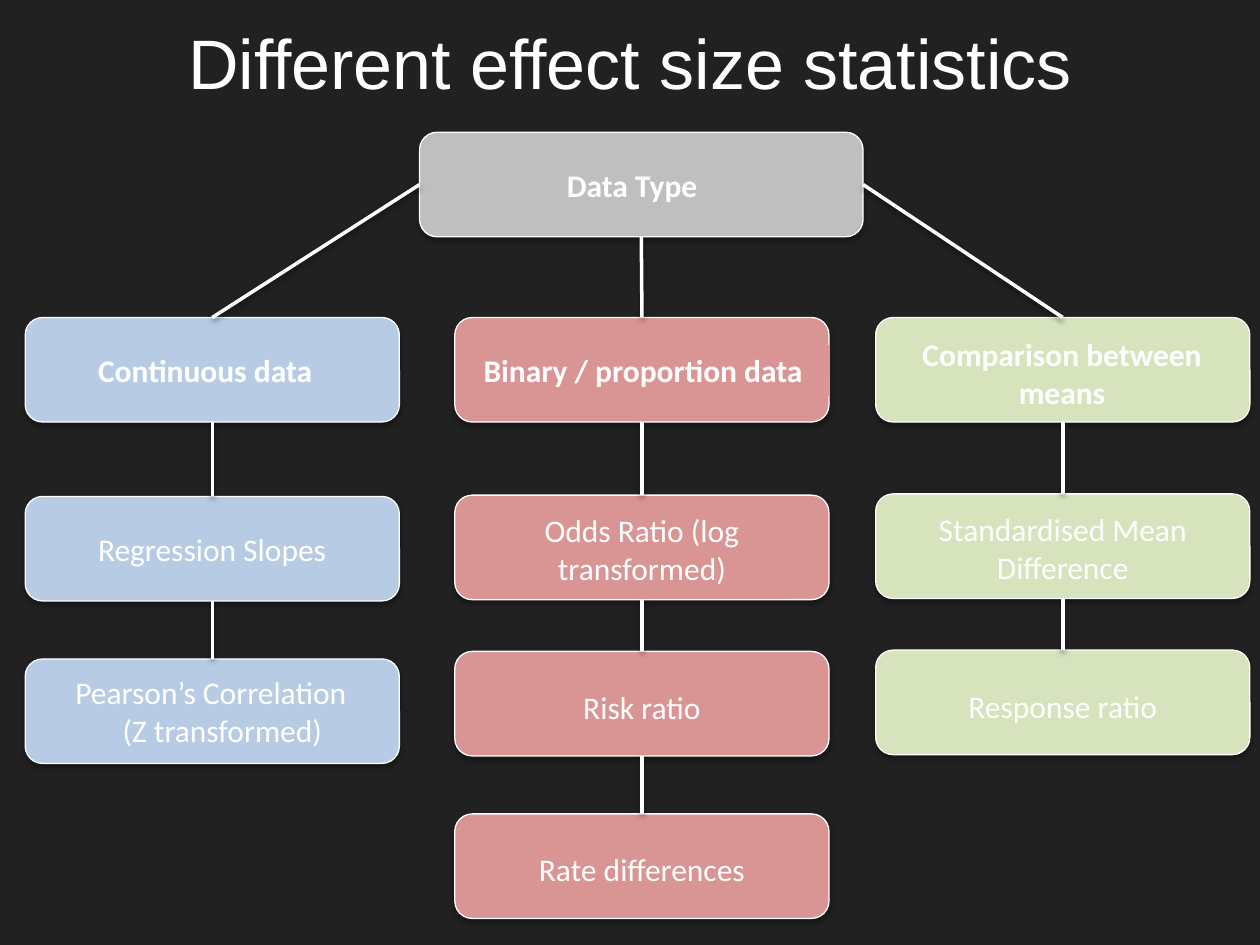
from itertools import pairwise

from lxml import etree
from pptx import Presentation
from pptx import util as u
from pptx.dml.color import RGBColor
from pptx.enum import shapes, text
from pptx.oxml import ns

BACKGROUND = RGBColor(0x21, 0x21, 0x21)
WHITE = RGBColor(0xFF, 0xFF, 0xFF)
GREY = RGBColor(0xBF, 0xBF, 0xBF)
BLUE = RGBColor(0xB7, 0xCC, 0xE4)
RED = RGBColor(0xD9, 0x95, 0x93)
GREEN = RGBColor(0xD6, 0xE3, 0xBC)

LEFT, CENTER = text.PP_ALIGN.LEFT, text.PP_ALIGN.CENTER
TOP_SIDE, LEFT_SIDE, BOTTOM_SIDE, RIGHT_SIDE = range(4)
BOX_WIDTH, BOX_HEIGHT = 2.97, 0.83
ONE_LINE, TWO_LINES = 0.4, 0.71
WIDE = (0.07, 0.24, 2.83, ONE_LINE)
WIDE_TALL = (0.07, 0.08, 2.83, TWO_LINES)

ROOT = ("Data Type", 1.05, (1.07, 0.22, 1.38, ONE_LINE), [LEFT])
COLUMNS = [
    (0.2, BLUE, [
        ("Continuous data", 2.52, (0.48, 0.22, 1.99, ONE_LINE), [LEFT]),
        ("Regression Slopes", 3.94, (0.48, 0.22, 2.24, ONE_LINE), [LEFT]),
        ("Pearson’s Correlation\n(Z transformed)", 5.23,
         (0.3, 0.06, 2.53, TWO_LINES), [LEFT, CENTER]),
    ]),
    (3.61, RED, [
        ("Binary / proportion data", 2.52, (0.13, 0.22, 2.84, ONE_LINE), [LEFT]),
        ("Odds Ratio (log transformed)", 3.93, WIDE_TALL, [CENTER]),
        ("Risk ratio", 5.17, WIDE, [CENTER]),
        ("Rate differences", 6.46, WIDE, [CENTER]),
    ]),
    (6.95, GREEN, [
        ("Comparison between means", 2.52, (0.05, 0.09, 2.86, TWO_LINES), [CENTER]),
        ("Standardised Mean Difference", 3.92, WIDE_TALL, [CENTER]),
        ("Response ratio", 5.16, WIDE, [CENTER]),
    ]),
]


def inches(*lengths):
    return [u.Inches(length) for length in lengths]


def apply_format(target, values):
    for name, value in values.items():
        setattr(target, name, value)


def add_shadow(shape, distance, opacity):
    properties = shape._element.spPr
    effects = etree.SubElement(properties, ns.qn("a:effectLst"))
    shadow = etree.SubElement(
        effects, ns.qn("a:outerShdw"), blurRad=str(u.Pt(3.1)),
        dist=str(u.Pt(distance)), dir="5400000", rotWithShape="0")
    color = etree.SubElement(shadow, ns.qn("a:srgbClr"), val="000000")
    etree.SubElement(color, ns.qn("a:alpha"), val=str(opacity * 1000))


def add_title(slide, wording):
    title = slide.shapes.title
    left, top, width, height = inches(0.5, -0.14, 9, 1.25)
    apply_format(title, {"left": left, "top": top, "width": width, "height": height})
    title.text_frame.text = wording
    title.text_frame.vertical_anchor = text.MSO_ANCHOR.MIDDLE
    paragraph = title.text_frame.paragraphs[0]
    paragraph.alignment = CENTER
    apply_format(paragraph.runs[0].font, {"name": "Arial", "size": u.Pt(40)})
    paragraph.runs[0].font.color.rgb = WHITE


def add_label(group, wording, area, alignments, bold, color=None):
    label = group.shapes.add_textbox(*inches(*area))
    if color is not None:
        label.fill.solid()
        label.fill.fore_color.rgb = color
    frame = label.text_frame
    frame.text = wording
    apply_format(frame, {"word_wrap": True,
                         "auto_size": text.MSO_AUTO_SIZE.SHAPE_TO_FIT_TEXT})
    for paragraph, alignment in zip(frame.paragraphs, alignments):
        paragraph.alignment = alignment
        font = paragraph.runs[0].font
        apply_format(font, {"name": "Calibri", "size": u.Pt(18), "bold": bold})
        font.color.rgb = WHITE


def add_node(slide, node, left, color, width=BOX_WIDTH, bold=False, label_color=None):
    wording, top, (offset_x, offset_y, label_width, label_height), alignments = node
    group = slide.shapes.add_group_shape()
    box = group.shapes.add_shape(shapes.MSO_SHAPE.ROUNDED_RECTANGLE,
                                 *inches(left, top, width, BOX_HEIGHT))
    box.fill.solid()
    box.fill.fore_color.rgb = color
    box.line.color.rgb = WHITE
    box.line.width = u.Pt(0.75)
    add_shadow(box, 1.8, 35)
    area = (left + offset_x, top + offset_y, label_width, label_height)
    add_label(group, wording, area, alignments, bold, label_color)
    return box


def add_link(slide, parent, child, side=BOTTOM_SIDE):
    link = slide.shapes.add_connector(shapes.MSO_CONNECTOR.STRAIGHT, 0, 0, 0, 0)
    link.begin_connect(parent, side)
    link.end_connect(child, TOP_SIDE)
    link.line.color.rgb = WHITE
    link.line.width = u.Pt(2)
    add_shadow(link, 1.6, 38)


def main():
    presentation = Presentation()
    presentation.slide_width, presentation.slide_height = inches(10, 7.5)
    slide = presentation.slides.add_slide(presentation.slide_layouts[5])
    slide.background.fill.solid()
    slide.background.fill.fore_color.rgb = BACKGROUND
    add_title(slide, "Different effect size statistics")

    root = add_node(slide, ROOT, 3.33, GREY, width=3.52, bold=True)
    for (left, color, nodes), side in zip(COLUMNS, (LEFT_SIDE, BOTTOM_SIDE, RIGHT_SIDE)):
        boxes = [add_node(slide, node, left, color, bold=index == 0, label_color=color)
                 for index, node in enumerate(nodes)]
        add_link(slide, root, boxes[0], side)
        for parent, child in pairwise(boxes):
            add_link(slide, parent, child)

    presentation.save("out.pptx")


if __name__ == "__main__":
    main()
